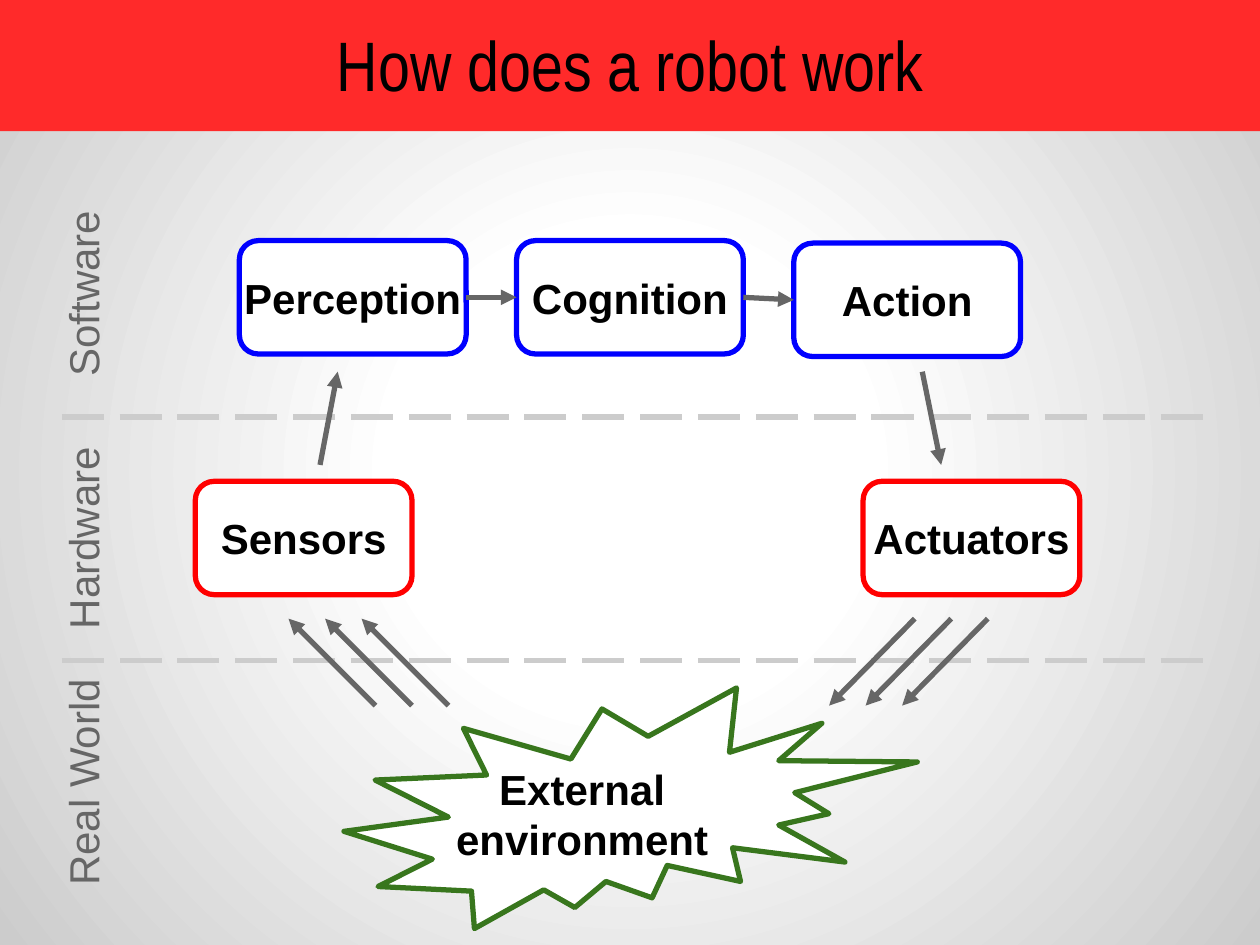
from lxml import etree
from pptx import Presentation
from pptx.dml.color import RGBColor
from pptx.enum.dml import MSO_LINE
from pptx.enum.shapes import MSO_CONNECTOR, MSO_SHAPE
from pptx.enum.text import MSO_ANCHOR, MSO_AUTO_SIZE, PP_ALIGN
from pptx.oxml import parse_xml
from pptx.oxml.ns import nsdecls, qn
from pptx.util import Inches, Pt

STRAIGHT = MSO_CONNECTOR.STRAIGHT
ROUNDED = MSO_SHAPE.ROUNDED_RECTANGLE
BURST = MSO_SHAPE.EXPLOSION2
LONG_DASH = MSO_LINE.LONG_DASH
CENTER = PP_ALIGN.CENTER
TOP, MIDDLE, BOTTOM = MSO_ANCHOR.TOP, MSO_ANCHOR.MIDDLE, MSO_ANCHOR.BOTTOM
NO_FIT = MSO_AUTO_SIZE.NONE
LEFT_SIDE, RIGHT_SIDE = 1, 3

COLORS = {
    "banner": "FF2A2A",
    "software": "0000FF",
    "hardware": "FF0000",
    "world": "38761D",
    "arrow": "666666",
    "lane": "666666",
    "divider": "CCCCCC",
    "edge": "CCCCCC",
    "white": "FFFFFF",
    "text": "000000",
}


def rgb(name):
    return RGBColor.from_string(COLORS[name])


class Diagram:
    font = "Arial"
    title_font = "Arial Narrow"
    size = Pt(24)
    title_size = Pt(40)
    stroke = Pt(3)
    inset = Inches(0.1)

    def __init__(self, page):
        self.page = page
        self.shapes = page.shapes

    def background(self):
        self.page.background.fill.gradient()
        gradient = self.page.element.find(".//" + qn("a:gradFill"))
        stops = "".join(
            f'<a:gs pos="{position * 1000}"><a:srgbClr val="{COLORS[name]}"/></a:gs>'
            for position, name in ((0, "white"), (30, "white"), (100, "edge"))
        )
        radial = parse_xml(
            f'<a:gradFill {nsdecls("a")}><a:gsLst>{stops}</a:gsLst>'
            '<a:path path="circle"><a:fillToRect l="50000" t="50000" r="50000" b="50000"/>'
            "</a:path></a:gradFill>"
        )
        gradient.getparent().replace(gradient, radial)

    def set_text(self, shape, text, color="text", bold=False, anchor=TOP, wrap=True):
        frame = shape.text_frame
        frame.text = text
        frame.auto_size = NO_FIT
        frame.word_wrap = wrap
        frame.vertical_anchor = anchor
        frame.margin_left = frame.margin_right = self.inset
        frame.margin_top = frame.margin_bottom = self.inset
        para = frame.paragraphs[0]
        para.alignment = CENTER
        para.font.name = self.font
        para.font.size = self.size
        para.font.bold = bold
        para.font.color.rgb = rgb(color)
        return frame

    def title(self, text):
        banner = self.shapes.title
        banner.left, banner.top = Inches(0), Inches(0)
        banner.width, banner.height = Inches(10), Inches(1.04)
        banner.fill.solid()
        banner.fill.fore_color.rgb = rgb("banner")
        frame = self.set_text(banner, text, anchor=BOTTOM)
        frame.margin_bottom = Inches(0.2)
        font = frame.paragraphs[0].font
        font.name = self.title_font
        font.size = self.title_size

    def outline(self, kind, left, top, width, height, color):
        shape = self.shapes.add_shape(
            kind, Inches(left), Inches(top), Inches(width), Inches(height)
        )
        shape.shadow.inherit = False
        shape.fill.solid()
        shape.fill.fore_color.rgb = rgb("white")
        shape.line.color.rgb = rgb(color)
        shape.line.width = self.stroke
        return shape

    def box(self, text, left, top, width, color):
        shape = self.outline(ROUNDED, left, top, width, 0.9, color)
        self.set_text(shape, text, bold=True, anchor=MIDDLE, wrap=False)
        return shape

    def label(self, text, left, top, width, height, color="text", bold=False, rotation=0):
        shape = self.shapes.add_textbox(
            Inches(left), Inches(top), Inches(width), Inches(height)
        )
        shape.rotation = rotation
        self.set_text(shape, text, color, bold)

    def line(self, start, end, color):
        connector = self.shapes.add_connector(
            STRAIGHT, *(Inches(value) for value in (*start, *end))
        )
        connector.line.color.rgb = rgb(color)
        connector.line.width = self.stroke
        etree.SubElement(connector.element.spPr, qn("a:effectLst"))
        return connector

    def divider(self, top):
        self.line((0.49, top), (9.64, top), "divider").line.dash_style = LONG_DASH

    def arrow(self, start, end):
        connector = self.line(start, end, "arrow")
        outline = connector.element.spPr.find(qn("a:ln"))
        etree.SubElement(outline, qn("a:tailEnd"), type="triangle")
        return connector

    def join(self, source, target):
        connector = self.arrow((0, 0), (0, 0))
        connector.begin_connect(source, RIGHT_SIDE)
        connector.end_connect(target, LEFT_SIDE)


def main():
    deck = Presentation()
    deck.slide_width, deck.slide_height = Inches(10), Inches(7.5)
    diagram = Diagram(deck.slides.add_slide(deck.slide_layouts[5]))
    diagram.background()
    diagram.title("How does a robot work")

    for top in (3.31, 5.24):
        diagram.divider(top)
    for index, lane in enumerate(("Software", "Hardware", "Real World")):
        diagram.label(lane, -0.32, 2.05 + 1.94 * index, 1.91, 0.56, "lane", rotation=270)

    for text, left in (("Sensors", 1.55), ("Actuators", 6.85)):
        diagram.box(text, left, 3.82, 1.72, "hardware")

    diagram.outline(BURST, 2.73, 5.46, 4.55, 1.91, "world")
    diagram.label("External environment", 3, 5.96, 3.24, 0.73, bold=True)

    perception, cognition, action = [
        diagram.box(text, left, top, 1.8, "software")
        for text, left, top in (
            ("Perception", 1.9, 1.91),
            ("Cognition", 4.1, 1.91),
            ("Action", 6.3, 1.93),
        )
    ]
    diagram.join(perception, cognition)
    diagram.join(cognition, action)
    diagram.arrow((2.54, 3.69), (2.68, 2.95))
    diagram.arrow((7.32, 2.95), (7.47, 3.69))

    for index in range(3):
        shift = 0.29 * index
        diagram.arrow((2.98 + shift, 5.6), (2.29 + shift, 4.91))
        diagram.arrow((7.26 + shift, 4.91), (6.58 + shift, 5.6))

    deck.save("out.pptx")


if __name__ == "__main__":
    main()
